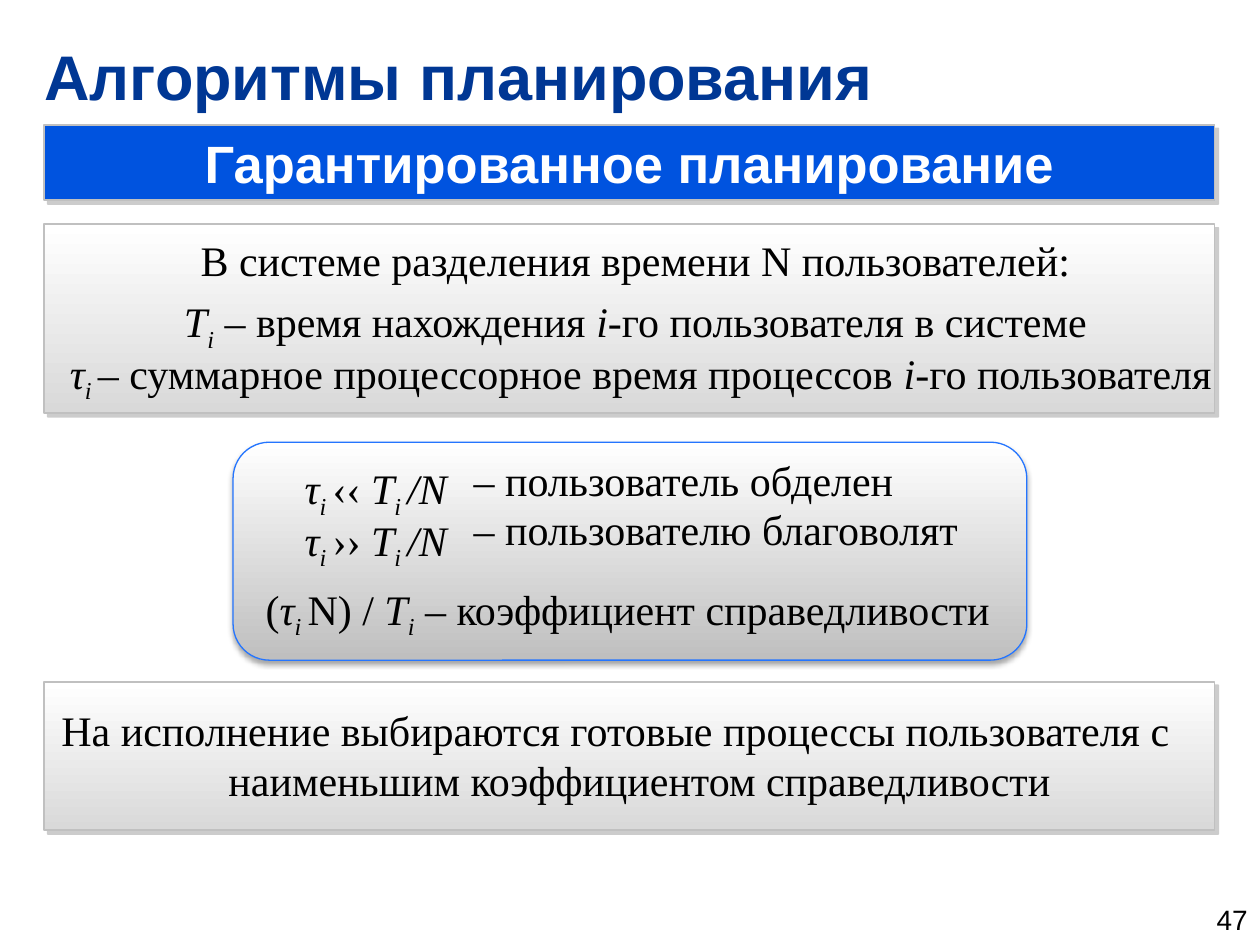
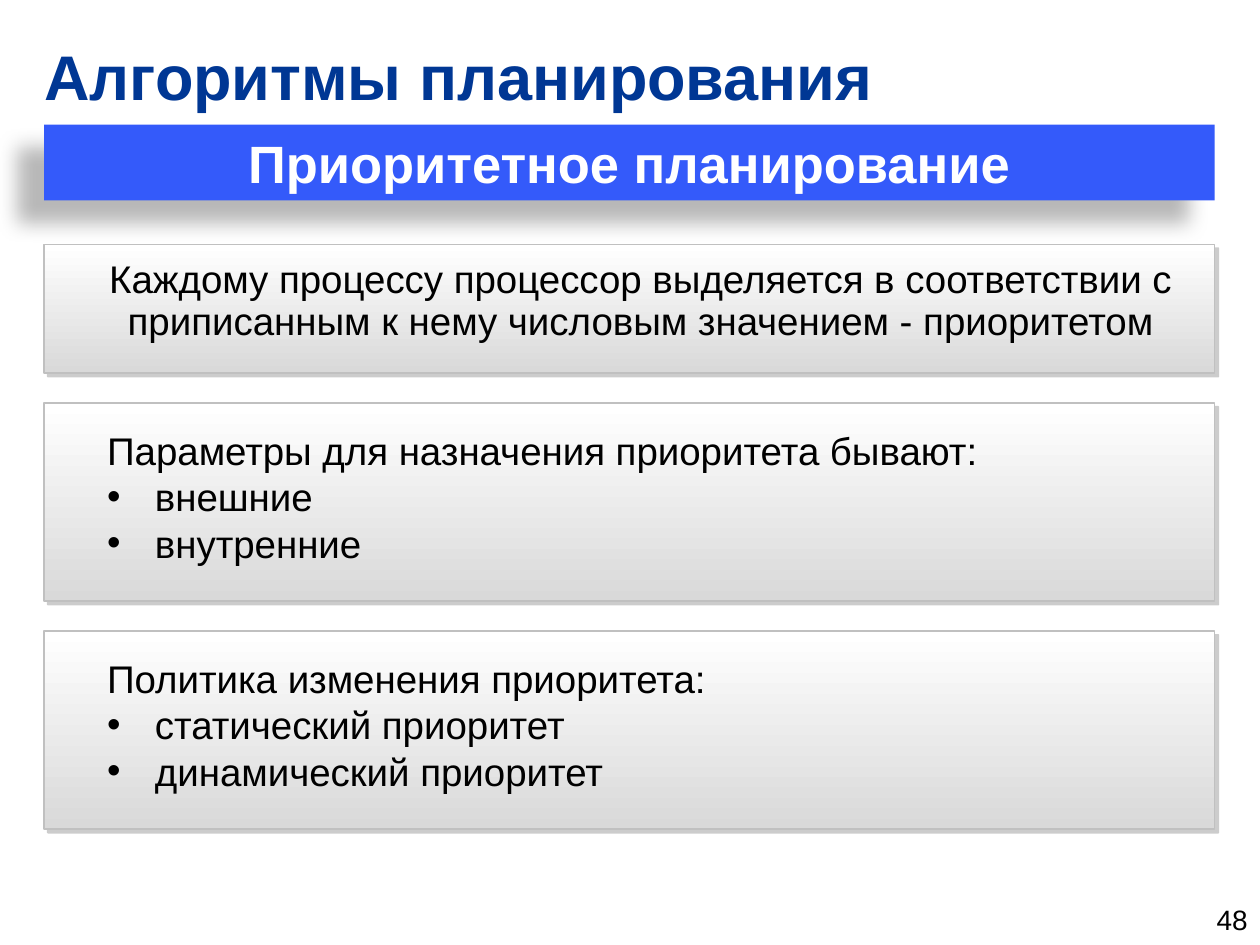
import pptx
import pptx.util
import pptx.dml.color
import pptx.enum.shapes
import pptx.enum.text
import pptx.oxml
import pptx.oxml.ns
import lxml.etree

Inches = pptx.util.Inches
Pt = pptx.util.Pt
Align = pptx.enum.text.PP_ALIGN
Anchor = pptx.enum.text.MSO_ANCHOR
Preset = pptx.enum.shapes.MSO_SHAPE
qn = pptx.oxml.ns.qn

COLORS = {
    "title": "003794",
    "band": "0053DF",
    "band_bright": "345AFA",
    "band_text": "FFFFFF",
    "text": "000000",
    "panel_top": "FFFFFF",
    "panel_bottom": "D9D9D9",
    "formula_bottom": "BFBFBF",
    "panel_line": "C0C0C0",
    "formula_line": "2475FF",
    "hard_shadow": "808080",
    "soft_shadow": "000000",
}
LEFT, WIDTH = 0.35, 9.29
SERIF, SANS = "Times New Roman", "Arial"
HARD_SHADOW = ("hard_shadow", 40, 0, 3, 45)
FORMULA_SHADOW = ("soft_shadow", 35, 3.1, 1.8, 90)
WIDE_SHADOW = ("soft_shadow", 28, 11.8, 19.7, 141)


def rgb(name):
    return pptx.dml.color.RGBColor.from_string(COLORS[name])


def place(shape, left, top, width, height):
    shape.left, shape.top = Inches(left), Inches(top)
    shape.width, shape.height = Inches(width), Inches(height)


def set_insets(frame, horizontal, vertical):
    frame.margin_left = frame.margin_right = Inches(horizontal)
    frame.margin_top = frame.margin_bottom = Inches(vertical)


def cast_shadow(shape, color, opacity, blur, distance, angle):
    shape.shadow.inherit = False
    effects = shape._element.spPr.find(qn("a:effectLst"))
    outer = lxml.etree.SubElement(
        effects, qn("a:outerShdw"), blurRad=str(Pt(blur)), dist=str(Pt(distance)),
        dir=str(angle * 60000), algn="ctr", rotWithShape="0")
    tone = lxml.etree.SubElement(outer, qn("a:srgbClr"), val=COLORS[color])
    lxml.etree.SubElement(tone, qn("a:alpha"), val=str(opacity * 1000))


def write(paragraph, parts, font, size, color="text", bold=False):
    """Styles: "" is plain, "i" is italic, "s" is an italic subscript."""
    for text, style in parts:
        run = paragraph.add_run()
        run.text = text
        run.font.name = font
        run.font.size = Pt(size)
        run.font.bold = bold
        run.font.italic = style != ""
        run.font.color.rgb = rgb(color)
        if style == "s":
            run._r.get_or_add_rPr().set("baseline", "-25000")


def hang(paragraph, indent=0.38):
    properties = paragraph._p.get_or_add_pPr()
    properties.set("marL", str(Inches(indent)))
    properties.set("indent", str(Inches(-indent)))
    return properties


def add_title(slide, text):
    title = slide.shapes.title
    place(title, LEFT, 0.26, WIDTH, 0.68)
    frame = title.text_frame
    frame.auto_size = pptx.enum.text.MSO_AUTO_SIZE.NONE
    frame.vertical_anchor = Anchor.MIDDLE
    set_insets(frame, 0, 0)
    frame.paragraphs[0].alignment = Align.LEFT
    write(frame.paragraphs[0], [(text, "")], SANS, 36, "title", True)


def add_band(slide, text, fill, shadow, line=None):
    band = slide.shapes.add_shape(
        Preset.RECTANGLE, Inches(LEFT), Inches(0.99), Inches(WIDTH), Inches(0.6))
    band.fill.solid()
    band.fill.fore_color.rgb = rgb(fill)
    if line:
        band.line.color.rgb = rgb(line)
        band.line.width = Pt(1)
    else:
        band.line.fill.background()
    cast_shadow(band, *shadow)
    frame = band.text_frame
    frame.word_wrap = True
    frame.vertical_anchor = Anchor.MIDDLE
    set_insets(frame, 0.24, 0.04)
    frame.paragraphs[0].alignment = Align.CENTER
    write(frame.paragraphs[0], [(text, "")], SANS, 30, "band_text", True)


def add_panel(slide, top, height, left=LEFT, width=WIDTH, preset=Preset.RECTANGLE,
              bottom="panel_bottom", line="panel_line", line_width=1, shadow=HARD_SHADOW):
    panel = slide.shapes.add_shape(
        preset, Inches(left), Inches(top), Inches(width), Inches(height))
    panel.fill.gradient()
    panel.fill.gradient_angle = 270
    for stop, color in zip(panel.fill.gradient_stops, ("panel_top", bottom)):
        stop.color.rgb = rgb(color)
    panel.line.color.rgb = rgb(line)
    panel.line.width = Pt(line_width)
    cast_shadow(panel, *shadow)


def add_text(slide, left, top, width, height, lines, font=SERIF, size=24,
             align=Align.LEFT, spacing=None):
    box = slide.shapes.add_textbox(
        Inches(left), Inches(top), Inches(width), Inches(height))
    frame = box.text_frame
    frame.word_wrap = True
    for index, parts in enumerate(lines):
        paragraph = frame.add_paragraph() if index else frame.paragraphs[0]
        paragraph.alignment = align
        if spacing:
            paragraph.line_spacing = spacing
        write(paragraph, parts, font, size)
    return frame


def fill_list(slide, body, top, heading, items):
    slide.shapes._spTree.append(body._element)
    place(body, 0.75, top, 8.58, 1.21)
    frame = body.text_frame
    frame.auto_size = pptx.enum.text.MSO_AUTO_SIZE.NONE
    for index, text in enumerate([heading, *items]):
        paragraph = frame.add_paragraph() if index else frame.paragraphs[0]
        properties = hang(paragraph)
        if index:
            lxml.etree.SubElement(properties, qn("a:buFont"), typeface=SANS)
            lxml.etree.SubElement(properties, qn("a:buChar"), char="•")
        else:
            lxml.etree.SubElement(properties, qn("a:buNone"))
        paragraph.space_before = Pt(0)
        write(paragraph, [(text, "")], SANS, 22)


def add_page_number(slide, number):
    frame = add_text(slide, 8.78, 7.1, 1.22, 0.4, [[(str(number), "")]],
                     SANS, 16, Align.RIGHT)
    frame.vertical_anchor = Anchor.MIDDLE


def share_comparison(sign):
    return [("τ", "i"), ("i ", "s"), (sign + " ", ""), ("T", "i"), ("i ", "s"), ("/N", "i")]


def build_guaranteed(slide):
    add_band(slide, "Гарантированное планирование", "band", HARD_SHADOW, "panel_line")

    add_panel(slide, 1.78, 1.5)
    definitions = add_text(slide, 0.28, 1.86, 9.61, 1.28, [
        [("В системе разделения времени N пользователей: ", "")],
        [("T", "i"), ("i", "s"), (" – время нахождения ", ""), ("i", "i"),
         ("-го пользователя в системе ", "")],
        [("τ", "i"), ("i ", "s"), ("– суммарное процессорное время процессов ", ""),
         ("i", "i"), ("-го пользователя", "")],
    ], align=Align.CENTER, spacing=0.9)
    definitions.paragraphs[1].space_before = Pt(6)

    add_panel(slide, 3.51, 1.73, 1.85, 6.3, Preset.ROUNDED_RECTANGLE,
              "formula_bottom", "formula_line", 0.75, FORMULA_SHADOW)
    add_text(slide, 2.32, 3.63, 5, 0.83,
             [share_comparison("‹‹"), share_comparison("››")], spacing=0.9)
    for top, verdict in ((3.56, "пользователь обделен"), (3.95, "пользователю благоволят")):
        add_text(slide, 3.66, top, 4.41, 0.5, [[("– ", "i"), (verdict, "")]])
    add_text(slide, 2.01, 4.58, 5.98, 0.5, [
        [("(", ""), ("τ", "i"), ("i ", "s"), ("N) / ", ""), ("T", "i"), ("i", "s"),
         (" – коэффициент справедливости", "")]])

    add_panel(slide, 5.41, 1.18)
    rule = add_text(slide, 0.28, 5.54, 9.21, 0.91, [
        [("На исполнение выбираются готовые процессы пользователя с "
          "наименьшим коэффициентом справедливости", "")]], align=Align.CENTER)
    hang(rule.paragraphs[0])


def build_priority(slide):
    add_band(slide, "Приоритетное планирование", "band_bright", WIDE_SHADOW)

    add_panel(slide, 1.94, 1.02)
    add_text(slide, 0.28, 2.02, 9.61, 0.77, [
        [("Каждому процессу процессор выделяется в соответствии с "
          "приписанным к нему числовым значением - приоритетом", "")]],
        SANS, 22, Align.CENTER, 0.9)

    topics = [
        ("Параметры для назначения приоритета бывают:", ["внешние", "внутренние"]),
        ("Политика изменения приоритета:", ["статический приоритет", "динамический приоритет"]),
    ]
    bodies = [slide.placeholders[1], slide.placeholders[2]]
    for index, (body, (heading, items)) in enumerate(zip(bodies, topics)):
        top = 3.2 + index * 1.81
        add_panel(slide, top, 1.57)
        fill_list(slide, body, top + 0.14, heading, items)


def main():
    deck = pptx.Presentation()
    deck.slide_width, deck.slide_height = Inches(10), Inches(7.5)
    title_only, two_lists = deck.slide_layouts[5], deck.slide_layouts[3]
    pages = [(47, title_only, build_guaranteed), (48, two_lists, build_priority)]
    for number, layout, build in pages:
        slide = deck.slides.add_slide(layout)
        add_title(slide, "Алгоритмы планирования")
        build(slide)
        add_page_number(slide, number)
    deck.save("out.pptx")


if __name__ == "__main__":
    main()
